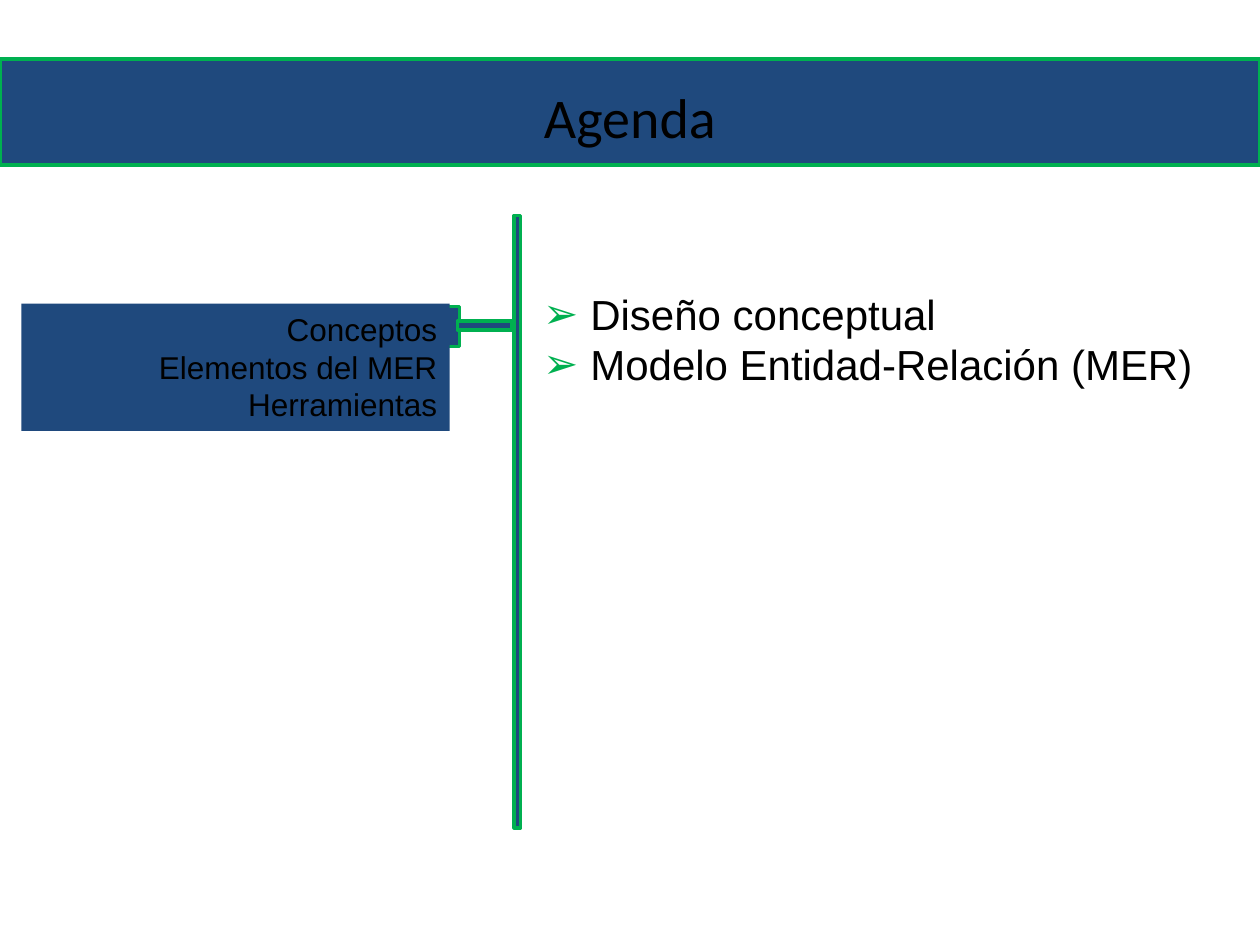
"""Build the agenda slide."""
from dataclasses import dataclass

import pptx
import pptx.dml.color
import pptx.enum.shapes
import pptx.enum.text
import pptx.oxml
import pptx.oxml.ns
import pptx.util

Pt = pptx.util.Pt
ALIGN = pptx.enum.text.PP_ALIGN
ANCHOR = pptx.enum.text.MSO_ANCHOR


@dataclass(frozen=True)
class Theme:
    """Colours, fonts and sizes of the deck."""
    navy: str = "1F497D"
    green: str = "00B050"
    ink: str = "000000"
    title_font: str = "Calibri"
    body_font: str = "Arial"
    title_size: int = 32
    list_size: int = 24
    box_size: int = 18
    line: int = 2
    hang: int = 27


class SlideBuilder:
    """Draw styled elements on the current slide."""

    def __init__(self, prs, theme):
        """Add a title and content slide."""
        self.theme = theme
        self.s = prs.slides.add_slide(prs.slide_layouts[1])

    def rgb(self, value):
        """Return a colour object for a hex value."""
        return pptx.dml.color.RGBColor.from_string(value)

    def bar(self, box, outlined=True, shapes=None):
        """Add a navy rectangle, outlined in green on request."""
        shapes = shapes or self.s.shapes
        kind = pptx.enum.shapes.MSO_SHAPE.RECTANGLE
        sp = shapes.add_shape(kind, *map(Pt, box))
        sp.shadow.inherit = False
        sp.fill.solid()
        sp.fill.fore_color.rgb = self.rgb(self.theme.navy)
        if outlined:
            sp.line.color.rgb = self.rgb(self.theme.green)
            sp.line.width = Pt(self.theme.line)
        else:
            sp.line.fill.background()
        return sp

    def group(self, boxes):
        """Add outlined bars as one group."""
        group = self.s.shapes.add_group_shape()
        for box in boxes:
            self.bar(box, shapes=group.shapes)

    def text(self, sp, lines, font, size, align, anchor):
        """Write paragraphs in one style."""
        tf = sp.text_frame
        tf.text = "\n".join(lines)
        tf.word_wrap = True
        tf.auto_size = pptx.enum.text.MSO_AUTO_SIZE.NONE
        tf.vertical_anchor = anchor
        for p in tf.paragraphs:
            p.alignment = align
            p.space_before = Pt(0)
            for r in p.runs:
                r.font.name = font
                r.font.size = Pt(size)
                r.font.color.rgb = self.rgb(self.theme.ink)

    def place(self, sp, box):
        """Move a placeholder and bring it to the front."""
        sp.left, sp.top, sp.width, sp.height = map(Pt, box)
        self.s.shapes._spTree.append(sp._element)

    def title(self, text, box):
        """Fill the title placeholder."""
        sp = self.s.shapes.title
        self.place(sp, box)
        self.text(sp, [text], self.theme.title_font, self.theme.title_size,
                  ALIGN.CENTER, ANCHOR.MIDDLE)

    def bullets(self, lines, box):
        """Fill the body placeholder with an arrow list."""
        sp = self.s.placeholders[1]
        self.place(sp, box)
        self.text(sp, lines, self.theme.body_font, self.theme.list_size,
                  ALIGN.LEFT, ANCHOR.TOP)
        ns = pptx.oxml.ns.nsdecls("a")
        marks = (f'<a:buClr {ns}><a:srgbClr val="{self.theme.green}"/></a:buClr>',
                 f'<a:buFont {ns} typeface="{self.theme.body_font}"/>',
                 f'<a:buChar {ns} char="➢"/>')
        for p in sp.text_frame.paragraphs:
            pPr = p._p.get_or_add_pPr()
            pPr.set("marL", str(Pt(self.theme.hang)))
            pPr.set("indent", str(-Pt(self.theme.hang)))
            for mark in marks:
                pPr.append(pptx.oxml.parse_xml(mark))

    def text_box(self, lines, box):
        """Add a navy box with right-aligned lines."""
        sp = self.bar(box, outlined=False)
        self.text(sp, lines, self.theme.body_font, self.theme.box_size,
                  ALIGN.RIGHT, ANCHOR.TOP)


def main():
    """Build and save the deck."""
    prs = pptx.Presentation()
    prs.slide_width, prs.slide_height = Pt(720), Pt(540)
    b = SlideBuilder(prs, Theme())
    b.group([(18.7, 175, 244, 23), (261.4, 183.6, 31, 5)])
    b.bar((0, 33.8, 720, 60.5))
    b.title("Agenda", (36, 21.6, 648, 90))
    b.bullets(["Diseño conceptual", "Modelo Entidad-Relación (MER)"],
              (303.1, 161.3, 401, 65.5))
    b.text_box(["Conceptos", "Elementos del MER", "Herramientas"],
               (12.2, 173.5, 244.8, 72.7))
    b.bar((293.8, 123.1, 3.6, 350))
    prs.save("out.pptx")


if __name__ == "__main__":
    main()
